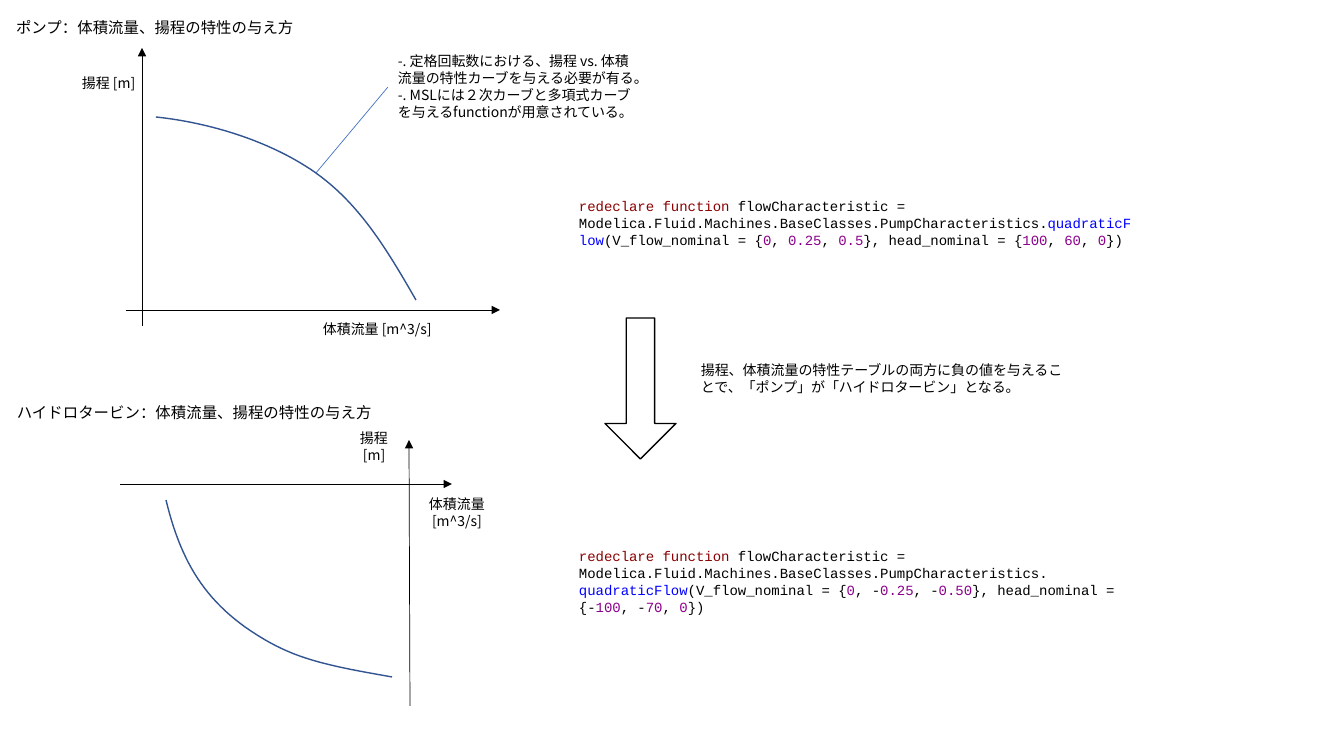
from dataclasses import dataclass
from typing import NamedTuple

from lxml.etree import SubElement
from pptx import Presentation
from pptx.dml.color import RGBColor
from pptx.enum.shapes import MSO_CONNECTOR, MSO_SHAPE
from pptx.enum.text import MSO_ANCHOR, MSO_AUTO_SIZE, PP_ALIGN
from pptx.oxml.ns import qn
from pptx.shapes.base import BaseShape
from pptx.slide import Slide
from pptx.util import Pt

EMU_PER_PIXEL = 12192000 / 1344
CURVE_STEPS = 24


@dataclass(frozen=True)
class Theme:
    ink: str = "000000"
    paper: str = "FFFFFF"
    curve: str = "325491"
    callout: str = "4472C4"
    keyword: str = "8B0000"
    function: str = "0000FF"
    number: str = "8B008B"
    body_font: str = "Noto Sans CJK JP"
    code_font: str = "Courier New"
    heading_size: float = 11
    body_size: float = 10
    thin: float = 0.5
    thick: float = 1


THEME = Theme()


class Point(NamedTuple):
    x: float
    y: float


class Box(NamedTuple):
    left: int
    top: int
    width: int
    height: int


class Run(NamedTuple):
    text: str
    color: str = THEME.ink


class Label(NamedTuple):
    box: Box
    paragraphs: list[list[Run]]
    font: str = THEME.body_font
    size: float = THEME.body_size


class Line(NamedTuple):
    start: Point
    end: Point
    color: str = THEME.ink
    arrow: bool = True


def emu(pixels: float) -> int:
    return round(pixels * EMU_PER_PIXEL)


def rgb(color: str) -> RGBColor:
    return RGBColor.from_string(color)


def plain(*lines: str) -> list[list[Run]]:
    return [[Run(line)] for line in lines]


def number_list(values: list[str]) -> list[Run]:
    runs = []
    for index, value in enumerate(values):
        digits = value.lstrip("-")
        separator = ", " if index else ""
        runs.append(Run(separator + value[:len(value) - len(digits)]))
        runs.append(Run(digits, THEME.number))
    return [run for run in runs if run.text]


def characteristic(gap: str, flow: list[str], head: list[str]) -> list[list[Run]]:
    package = "Modelica.Fluid.Machines.BaseClasses.PumpCharacteristics."
    return [[
        Run("redeclare function ", THEME.keyword),
        Run(f"flowCharacteristic = {package}{gap}"),
        Run("quadraticFlow", THEME.function),
        Run("(V_flow_nominal = {"),
        *number_list(flow),
        Run("}, head_nominal = {"),
        *number_list(head),
        Run("})"),
    ]]


def write_label(shape: BaseShape, label: Label) -> None:
    shape.left, shape.top, shape.width, shape.height = map(emu, label.box)
    frame = shape.text_frame
    frame.word_wrap = True
    frame.auto_size = MSO_AUTO_SIZE.SHAPE_TO_FIT_TEXT
    frame.vertical_anchor = MSO_ANCHOR.TOP
    for index, runs in enumerate(label.paragraphs):
        paragraph = frame.add_paragraph() if index else frame.paragraphs[0]
        paragraph.alignment = PP_ALIGN.LEFT
        paragraph.line_spacing = 1.0
        paragraph.space_before = Pt(0)
        font = paragraph.font
        font.size = Pt(label.size)
        font.name = label.font
        properties = paragraph._p.pPr.find(qn("a:defRPr"))
        SubElement(properties, qn("a:ea"), typeface=label.font)
        for piece in runs:
            run = paragraph.add_run()
            run.text = piece.text
            run.font.color.rgb = rgb(piece.color)


def add_label(slide: Slide, label: Label) -> None:
    write_label(slide.shapes.add_textbox(*map(emu, label.box)), label)


def add_line(slide: Slide, line: Line) -> None:
    connector = slide.shapes.add_connector(
        MSO_CONNECTOR.STRAIGHT, *map(emu, (*line.start, *line.end)))
    connector.line.color.rgb = rgb(line.color)
    connector.line.width = Pt(THEME.thin)
    if line.arrow:
        SubElement(connector.line._get_or_add_ln(), qn("a:tailEnd"), type="triangle")
    SubElement(connector._element.spPr, qn("a:effectLst"))


def bezier(controls: list[Point], t: float) -> Point:
    weights = ((1 - t) ** 3, 3 * t * (1 - t) ** 2, 3 * t * t * (1 - t), t ** 3)
    return Point(sum(w * p.x for w, p in zip(weights, controls)),
                 sum(w * p.y for w, p in zip(weights, controls)))


def add_curve(slide: Slide, controls: list[Point]) -> None:
    points = [bezier(controls[first:first + 4], step / CURVE_STEPS)
              for first in range(0, len(controls) - 1, 3)
              for step in range(1, CURVE_STEPS + 1)]
    builder = slide.shapes.build_freeform(*map(emu, controls[0]))
    builder.add_line_segments([(emu(p.x), emu(p.y)) for p in points], close=False)
    curve = builder.convert_to_shape()
    curve.shadow.inherit = False
    curve.fill.background()
    curve.line.color.rgb = rgb(THEME.curve)
    curve.line.width = Pt(THEME.thick)


def add_down_arrow(slide: Slide, box: Box) -> None:
    arrow = slide.shapes.add_shape(MSO_SHAPE.DOWN_ARROW, *map(emu, box))
    arrow.adjustments[0] = 0.4
    arrow.adjustments[1] = 0.5
    arrow.shadow.inherit = False
    arrow.fill.solid()
    arrow.fill.fore_color.rgb = rgb(THEME.paper)
    arrow.line.color.rgb = rgb(THEME.ink)
    arrow.line.width = Pt(THEME.thick)


TITLE = Label(Box(6, 13, 312, 29), plain("ポンプ：体積流量、揚程の特性の与え方"),
              size=THEME.heading_size)
LABELS = [
    Label(Box(7, 398, 392, 29), plain("ハイドロタービン：体積流量、揚程の特性の与え方"),
          size=THEME.heading_size),
    Label(Box(72, 70, 88, 27), plain("揚程 [m]")),
    Label(Box(313, 316, 150, 27), plain("体積流量 [m^3/s]")),
    Label(Box(350, 425, 58, 44), plain("揚程", " [m]")),
    Label(Box(419, 491, 81, 44), plain("体積流量", " [m^3/s]")),
    Label(Box(388, 48, 260, 78), plain(
        "-. 定格回転数における、揚程 vs. 体積流量の特性カーブを与える必要が有る。",
        "-. MSLには２次カーブと多項式カーブを与えるfunctionが用意されている。")),
    Label(Box(691, 357, 387, 44), plain(
        "揚程、体積流量の特性テーブルの両方に負の値を与えることで、"
        "「ポンプ」が「ハイドロタービン」となる。")),
    Label(Box(569, 193, 575, 61),
          characteristic("", ["0", "0.25", "0.5"], ["100", "60", "0"]), THEME.code_font),
    Label(Box(569, 543, 575, 78),
          characteristic(" ", ["0", "-0.25", "-0.50"], ["-100", "-70", "0"]),
          THEME.code_font),
]
LINES = [
    Line(Point(126, 310), Point(500, 310)),
    Line(Point(142, 326), Point(142, 48)),
    Line(Point(120, 484), Point(452, 484)),
    Line(Point(410, 706), Point(409, 440)),
    Line(Point(388, 87), Point(316, 173), THEME.callout, arrow=False),
]
PUMP_CURVE = [Point(156, 117), Point(212, 123), Point(272, 142), Point(316, 173),
              Point(359, 204), Point(385, 246), Point(416, 300)]
TURBINE_CURVE = [Point(166, 500), Point(180, 558), Point(202, 596), Point(245, 627),
                 Point(288, 657), Point(317, 664), Point(392, 677)]

presentation = Presentation()
presentation.slide_width = emu(1344)
presentation.slide_height = emu(756)
slide = presentation.slides.add_slide(presentation.slide_layouts[5])
write_label(slide.shapes.title, TITLE)
for line in LINES:
    add_line(slide, line)
for controls in (PUMP_CURVE, TURBINE_CURVE):
    add_curve(slide, controls)
add_down_arrow(slide, Box(605, 318, 71, 141))
for label in LABELS:
    add_label(slide, label)
presentation.save("out.pptx")
